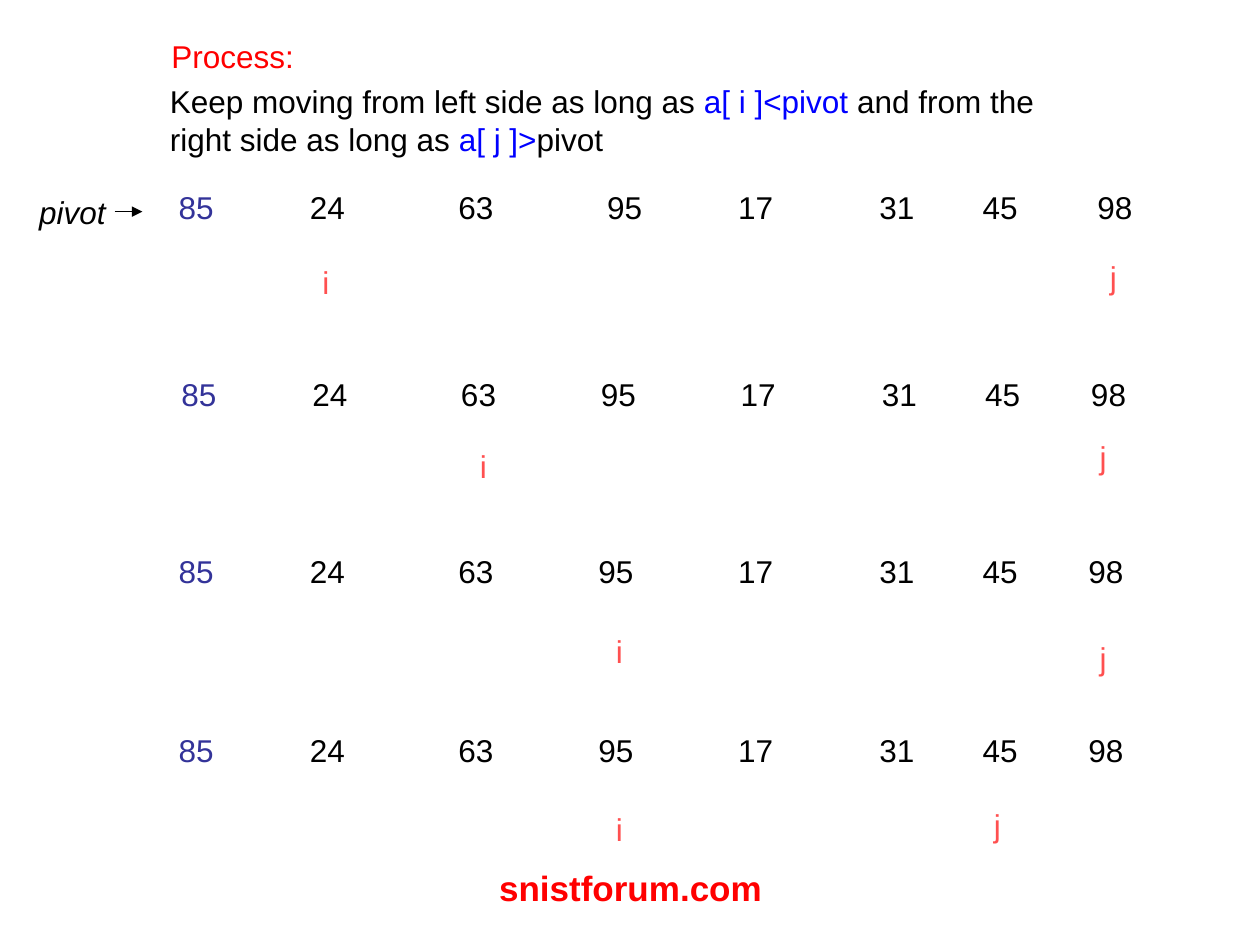
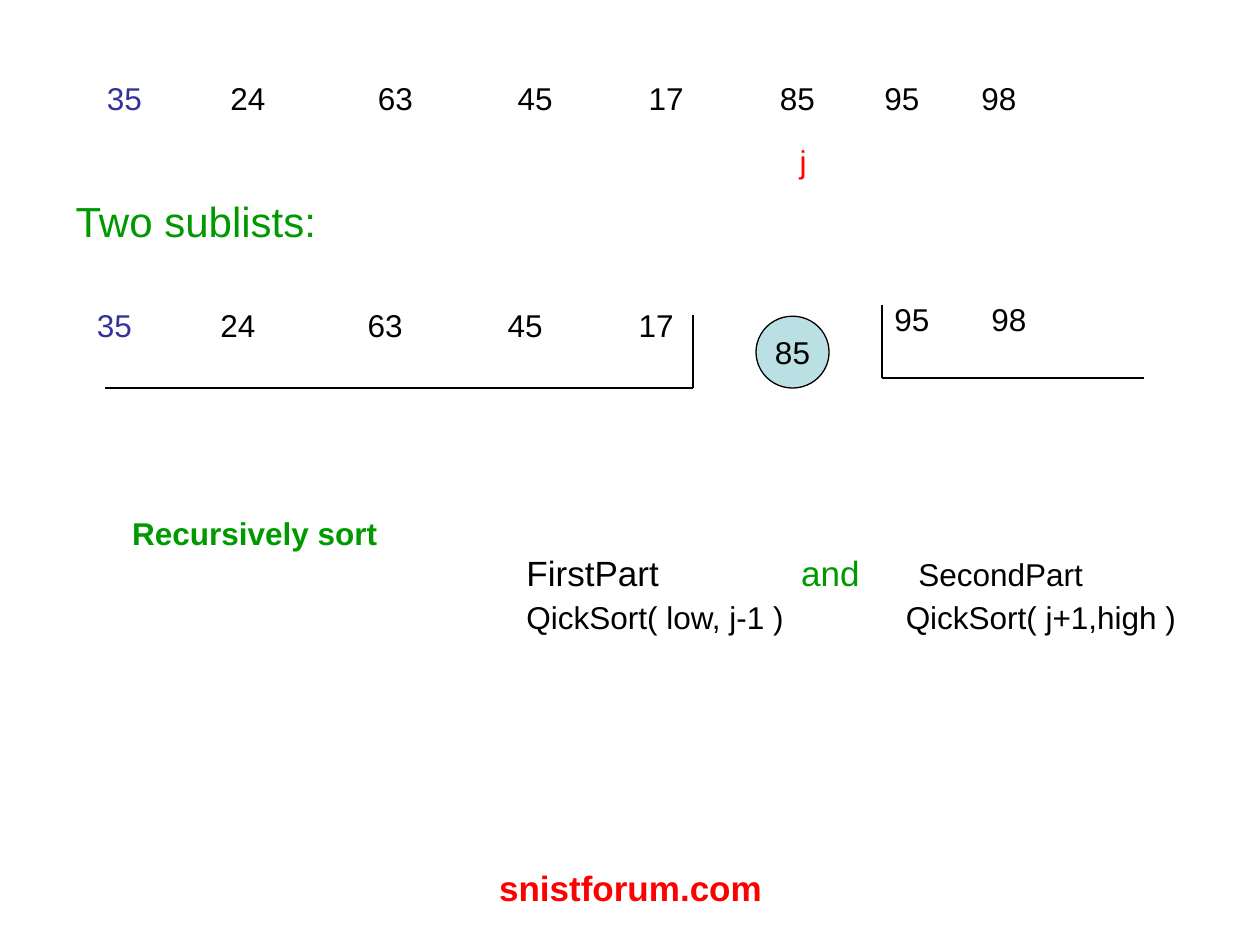
from dataclasses import dataclass
from typing import Any, Optional

import pptx
import pptx.dml.color
import pptx.enum.shapes
import pptx.enum.text
import pptx.oxml.ns
import pptx.util
from lxml import etree

Inches = pptx.util.Inches
Align = pptx.enum.text.PP_ALIGN
Anchor = pptx.enum.text.MSO_ANCHOR
Preset = pptx.enum.shapes.MSO_SHAPE


@dataclass(frozen=True)
class Theme:
    font: str = "Arial"
    body: int = 18
    large: int = 20
    heading: int = 24
    line: float = 0.75
    black: str = "000000"
    white: str = "FFFFFF"
    red: str = "FF0000"
    blue: str = "0000FF"
    green: str = "009900"
    pivot: str = "333399"
    marker: str = "FF5050"
    circle: str = "BBE0E3"


THEME = Theme()


@dataclass(frozen=True)
class Box:
    left: float
    top: float
    width: float
    height: float

    def lengths(self) -> list[int]:
        return [Inches(value) for value in (self.left, self.top, self.width, self.height)]


@dataclass(frozen=True)
class Words:
    text: str
    color: str = THEME.black
    size: int = THEME.body
    bold: bool = False
    italic: bool = False


@dataclass(frozen=True)
class Line:
    words: tuple[Words, ...]
    align: Any = Align.LEFT
    tabs: tuple[float, ...] = ()
    indent: float = 0
    space_before: float = 0


@dataclass(frozen=True)
class NumberRow:
    box: Box
    numbers: str
    tabs: tuple[float, ...]
    first_color: str = THEME.pivot


@dataclass(frozen=True)
class Marker:
    letter: str
    box: Box


@dataclass(frozen=True)
class Label:
    preset: Any
    box: Box
    words: Words
    fill: str = THEME.white
    line: str = THEME.white


@dataclass(frozen=True)
class Bracket:
    """An upright and a base that meet at a corner."""
    corner: tuple[float, float]
    base_end: float
    rise: float = 0.58


ROW_TABS = (1.04, 2.22, 3.33, 4.44, 5.56, 6.38, 7.22)
FIRST_ROW_TABS = (1.04, 2.22, 3.40, 4.44, 5.56, 6.38, 7.29)
SORTED_TABS = (0.98, 2.15, 3.26, 4.30, 5.34, 6.17, 6.94)
MARKER_INDENT = 0.21
NUMBERS = "85 24 63 95 17 31 45 98"

PASSES = [
    NumberRow(Box(1.32, 1.44, 7.91, 0.4), NUMBERS, FIRST_ROW_TABS),
    NumberRow(Box(1.34, 2.93, 7.91, 0.4), NUMBERS, ROW_TABS),
    NumberRow(Box(1.32, 4.33, 7.91, 0.7), NUMBERS, ROW_TABS),
    NumberRow(Box(1.32, 5.75, 7.91, 0.7), NUMBERS, ROW_TABS),
]
MARKERS = [
    Marker("i", Box(2.25, 2.04, 0.83, 0.4)),
    Marker("j", Box(8.5, 2, 0.67, 0.4)),
    Marker("i", Box(3.5, 3.5, 0.83, 0.4)),
    Marker("j", Box(8.42, 3.43, 0.67, 0.4)),
    Marker("i", Box(4.58, 4.97, 0.57, 0.4)),
    Marker("j", Box(8.42, 5.02, 0.67, 0.4)),
    Marker("i", Box(4.58, 6.38, 0.83, 0.4)),
    Marker("j", Box(7.58, 6.35, 0.67, 0.4)),
]
SUBLISTS = [
    NumberRow(Box(0.75, 0.58, 7.91, 0.7), "35 24 63 45 17 85 95 98", SORTED_TABS),
    NumberRow(Box(0.67, 2.38, 5.33, 0.7), "35 24 63 45 17", SORTED_TABS[:4]),
    NumberRow(Box(7, 2.33, 2.25, 0.7), "95 98", (0.77,), THEME.black),
]
BRACKETS = [Bracket((5.5, 3.08), 0.83), Bracket((7, 3), 9.08)]


def rgb(color: str) -> Any:
    return pptx.dml.color.RGBColor.from_string(color)


def set_all(target: Any, values: dict[str, Any]) -> None:
    for name, value in values.items():
        setattr(target, name, value)


def write_lines(frame: Any, lines: list[Line], wrap: bool = True, anchor: Any = Anchor.TOP) -> None:
    set_all(frame, {
        "word_wrap": wrap, "vertical_anchor": anchor,
        "auto_size": pptx.enum.text.MSO_AUTO_SIZE.NONE,
        "margin_left": Inches(0.1), "margin_right": Inches(0.1),
        "margin_top": Inches(0.05), "margin_bottom": Inches(0.05),
    })
    for index, line in enumerate(lines):
        paragraph = frame.add_paragraph() if index else frame.paragraphs[0]
        properties = paragraph._p.get_or_add_pPr()
        if line.indent:
            properties.set("marL", str(Inches(line.indent)))
        if line.tabs:
            tab_list = etree.SubElement(properties, pptx.oxml.ns.qn("a:tabLst"))
            for position in line.tabs:
                etree.SubElement(tab_list, pptx.oxml.ns.qn("a:tab"),
                                 pos=str(Inches(position)), algn="l")
        paragraph.alignment = line.align
        if line.space_before:
            paragraph.space_before = pptx.util.Pt(line.space_before)
        for words in line.words:
            run = paragraph.add_run()
            run.text = words.text
            set_all(run.font, {"name": THEME.font, "size": pptx.util.Pt(words.size),
                               "bold": words.bold, "italic": words.italic})
            run.font.color.rgb = rgb(words.color)


def add_text(slide: Any, box: Box, *lines: Line) -> None:
    write_lines(slide.shapes.add_textbox(*box.lengths()).text_frame, list(lines))


def add_slide(presentation: Any, title: Words, title_box: Box) -> Any:
    """Add a title-only slide with its title and the shared footer."""
    slide = presentation.slides.add_slide(presentation.slide_layouts[5])
    placeholder = slide.shapes.title
    set_all(placeholder, dict(zip(("left", "top", "width", "height"), title_box.lengths())))
    write_lines(placeholder.text_frame, [Line((title,))])
    footer = Words("snistforum.com", THEME.red, THEME.large, bold=True)
    add_text(slide, Box(3.42, 6.83, 3.17, 0.52), Line((footer,), Align.CENTER))
    return slide


def add_number_row(slide: Any, row: NumberRow) -> None:
    first, *others = row.numbers.split()
    rest = "".join(f"\t{number}" for number in others)
    add_text(slide, row.box, Line((Words(first, row.first_color), Words(rest)), tabs=row.tabs))


def add_marker(slide: Any, marker: Marker) -> None:
    add_text(slide, marker.box,
             Line((Words(marker.letter, THEME.marker),), indent=MARKER_INDENT))


def add_label(slide: Any, label: Label) -> Any:
    shape = slide.shapes.add_shape(label.preset, *label.box.lengths())
    shape.shadow.inherit = False
    shape.fill.solid()
    shape.fill.fore_color.rgb = rgb(label.fill)
    shape.line.color.rgb = rgb(label.line)
    shape.line.width = pptx.util.Pt(THEME.line)
    write_lines(shape.text_frame, [Line((label.words,), Align.CENTER)], False, Anchor.MIDDLE)
    return shape


def add_line(slide: Any, start: tuple[float, float], end: tuple[float, float],
             arrow: bool = False, source: Optional[Any] = None) -> None:
    """Draw a straight line, joined to the right side of source if one is given."""
    connector = slide.shapes.add_connector(
        pptx.enum.shapes.MSO_CONNECTOR.STRAIGHT, *[Inches(value) for value in start + end])
    if source is not None:
        connector.begin_connect(source, 3)
    connector.line.color.rgb = rgb(THEME.black)
    connector.line.width = pptx.util.Pt(THEME.line)
    if arrow:
        etree.SubElement(connector.line._get_or_add_ln(),
                         pptx.oxml.ns.qn("a:tailEnd"), type="triangle")
    etree.SubElement(connector._element.spPr, pptx.oxml.ns.qn("a:effectLst"))


def add_bracket(slide: Any, bracket: Bracket) -> None:
    x, y = bracket.corner
    add_line(slide, (x, y - bracket.rise), bracket.corner)
    add_line(slide, bracket.corner, (bracket.base_end, y))


def build_process_slide(presentation: Any) -> None:
    slide = add_slide(presentation, Words("Process:", THEME.red), Box(1.26, 0.24, 3.08, 0.4))
    add_text(slide, Box(1.25, 0.6, 7.5, 0.7), Line((
        Words("Keep moving from left side as long as "),
        Words("a[ i ]<pivot", THEME.blue),
        Words(" and from the right side as long as "),
        Words("a[ j ]>", THEME.blue),
        Words("pivot"),
    )))
    for row in PASSES:
        add_number_row(slide, row)
    for marker in MARKERS:
        add_marker(slide, marker)
    pivot = add_label(slide, Label(Preset.RECTANGLE, Box(0.24, 1.56, 0.67, 0.24),
                                   Words("pivot", italic=True)))
    add_line(slide, (0.91, 1.68), (1.13, 1.68), arrow=True, source=pivot)


def build_sublists_slide(presentation: Any) -> None:
    slide = add_slide(presentation, Words("Two sublists:", THEME.green, THEME.heading),
                      Box(0.5, 1.5, 4.33, 0.5))
    for row in SUBLISTS:
        add_number_row(slide, row)
    for bracket in BRACKETS:
        add_bracket(slide, bracket)
    add_label(slide, Label(Preset.RECTANGLE, Box(5.96, 1.1, 0.83, 0.35), Words("j", THEME.red)))
    add_label(slide, Label(Preset.OVAL, Box(6, 2.51, 0.58, 0.57), Words("85"),
                           THEME.circle, THEME.black))
    add_text(
        slide, Box(0.95, 4.03, 8.71, 2),
        Line((Words("Recursively sort", THEME.green, bold=True),)),
        Line((Words("\tFirstPart", size=THEME.large),
              Words("\tand", THEME.green, THEME.large),
              Words("\tSecondPart")), tabs=(3.13, 5.31, 6.24)),
        Line((Words("\tQickSort( low, j-1 )\tQickSort( j+1,high )"),),
             tabs=(3.13, 6.14), space_before=2.5),
    )


def main() -> None:
    presentation = pptx.Presentation()
    presentation.slide_width = Inches(10)
    presentation.slide_height = Inches(7.5)
    build_process_slide(presentation)
    build_sublists_slide(presentation)
    presentation.save("out.pptx")


if __name__ == "__main__":
    main()
